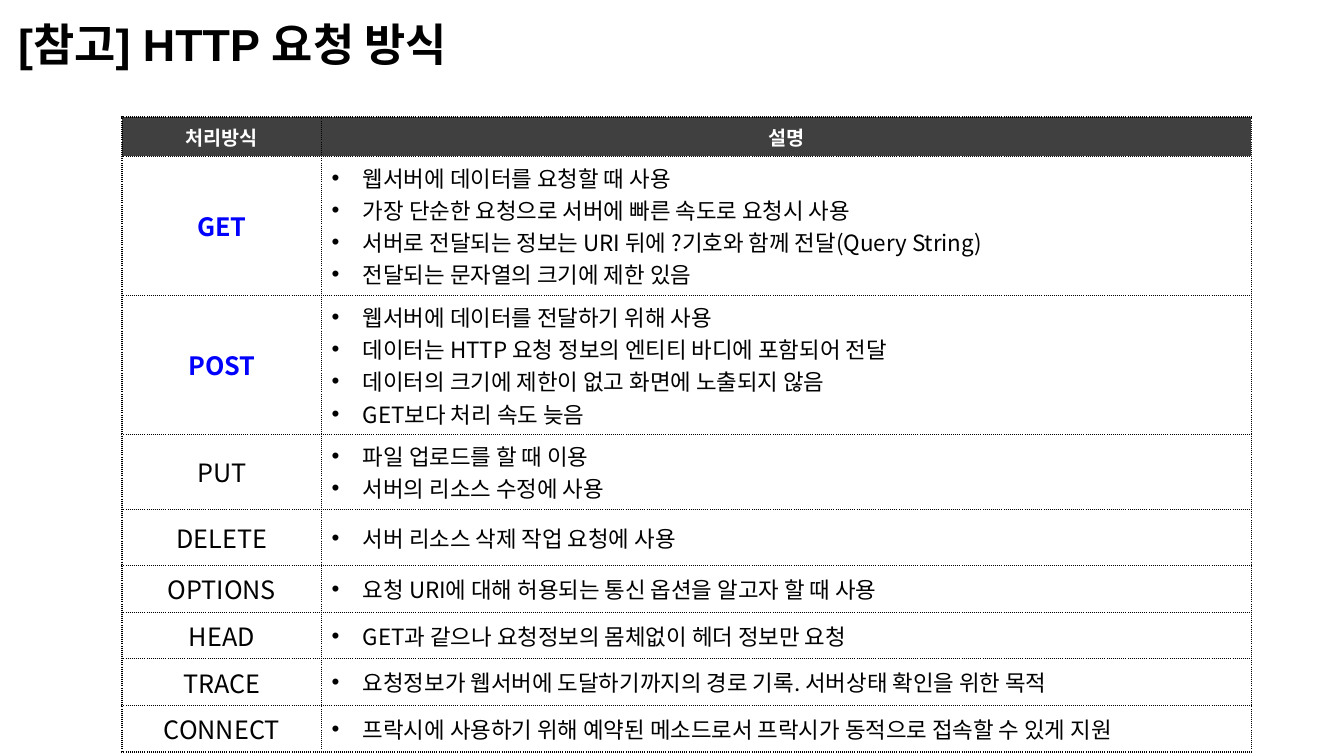
"""Build a slide with a table of HTTP request methods."""
from lxml.etree import SubElement
from pptx import Presentation
from pptx.dml.color import RGBColor
from pptx.enum.text import MSO_ANCHOR, PP_ALIGN
from pptx.oxml import parse_xml
from pptx.oxml.ns import nsdecls, qn
from pptx.util import Inches, Pt

KOREAN_FONT = "Noto Sans CJK KR"
METHODS = [
    ("GET", 1.38, [
        "웹서버에 데이터를 요청할 때 사용",
        "가장 단순한 요청으로 서버에 빠른 속도로 요청시 사용",
        "서버로 전달되는 정보는 URI 뒤에 ?기호와 함께 전달(Query String)",
        "전달되는 문자열의 크기에 제한 있음",
    ]),
    ("POST", 1.38, [
        "웹서버에 데이터를 전달하기 위해 사용",
        "데이터는 HTTP 요청 정보의 엔티티 바디에 포함되어 전달",
        "데이터의 크기에 제한이 없고 화면에 노출되지 않음",
        "GET보다 처리 속도 늦음",
    ]),
    ("PUT", 0.74, ["파일 업로드를 할 때 이용", "서버의 리소스 수정에 사용"]),
    ("DELETE", 0.56, ["서버 리소스 삭제 작업 요청에 사용"]),
    ("OPTIONS", 0.46, ["요청 URI에 대해 허용되는 통신 옵션을 알고자 할 때 사용"]),
    ("HEAD", 0.46, ["GET과 같으나 요청정보의 몸체없이 헤더 정보만 요청"]),
    ("TRACE", 0.46, ["요청정보가 웹서버에 도달하기까지의 경로 기록. 서버상태 확인을 위한 목적"]),
    ("CONNECT", 0.46, ["프락시에 사용하기 위해 예약된 메소드로서 프락시가 동적으로 접속할 수 있게 지원"]),
]


def color(value):
    return RGBColor.from_string(value)


def write(frame, *lines, size, fill="000000", bold=False, font=KOREAN_FONT,
          align=PP_ALIGN.LEFT, bullet=False):
    frame.vertical_anchor = MSO_ANCHOR.MIDDLE
    for index, line in enumerate(lines):
        text_frame = getattr(frame, "text_frame", frame)
        paragraph = text_frame.paragraphs[0] if index == 0 else text_frame.add_paragraph()
        paragraph.alignment = align
        if bullet:
            properties = paragraph._p.get_or_add_pPr()
            properties.set("marL", str(Inches(0.31)))
            properties.set("indent", str(Inches(-0.31)))
            SubElement(properties, qn("a:buFont"), typeface="Arial")
            SubElement(properties, qn("a:buChar"), char="•")
        run = paragraph.add_run()
        run.text = line
        run.font.size = Pt(size)
        run.font.bold = bold
        run.font.color.rgb = color(fill)
        run.font.name = font
        SubElement(run._r.get_or_add_rPr(), qn("a:ea"), typeface=KOREAN_FONT)


presentation = Presentation()
presentation.slide_width = Inches(13.33)
presentation.slide_height = Inches(7.5)
slide = presentation.slides.add_slide(presentation.slide_layouts[6])

heights = [0.39] + [height for _, height, _ in METHODS]
table = slide.shapes.add_table(len(heights), 2, Inches(1.21), Inches(1.16),
                               Inches(11.2), Inches(sum(heights))).table
table.horz_banding = False
table.columns[0].width = Inches(1.98)
table.columns[1].width = Inches(9.22)
for row, height in zip(table.rows, heights):
    row.height = Inches(height)

for cell, heading in zip(table.rows[0].cells, ["처리방식", "설명"]):
    write(cell, heading, size=14, fill="FFFFFF", bold=True, align=PP_ALIGN.CENTER)
for row_index, (method, _, descriptions) in enumerate(METHODS, start=1):
    main_method = method in ("GET", "POST")
    write(table.cell(row_index, 0), method, size=18, bold=main_method,
          fill="0000FF" if main_method else "000000", align=PP_ALIGN.CENTER)
    write(table.cell(row_index, 1), *descriptions, size=16, bullet=True)

for row_index, row in enumerate(table.rows):
    for cell in row.cells:
        if row_index == 0:
            cell.fill.solid()
            cell.fill.fore_color.rgb = color("404040")
        else:
            cell.fill.background()
        for position, side in enumerate(["lnL", "lnR", "lnT", "lnB"]):
            cell._tc.get_or_add_tcPr().insert(position, parse_xml(
                f'<a:{side} {nsdecls("a")} w="{Pt(1)}"><a:solidFill>'
                '<a:srgbClr val="000000"/></a:solidFill>'
                f'<a:prstDash val="sysDot"/></a:{side}>'))

title = slide.shapes.add_textbox(Inches(0.18), Inches(0.16), Inches(13.09), Inches(0.55))
title.text_frame.word_wrap = True
title.text_frame.margin_left = title.text_frame.margin_right = 0
write(title.text_frame, "[참고] HTTP 요청 방식", size=32, bold=True, font="Arial")

presentation.save("out.pptx")
